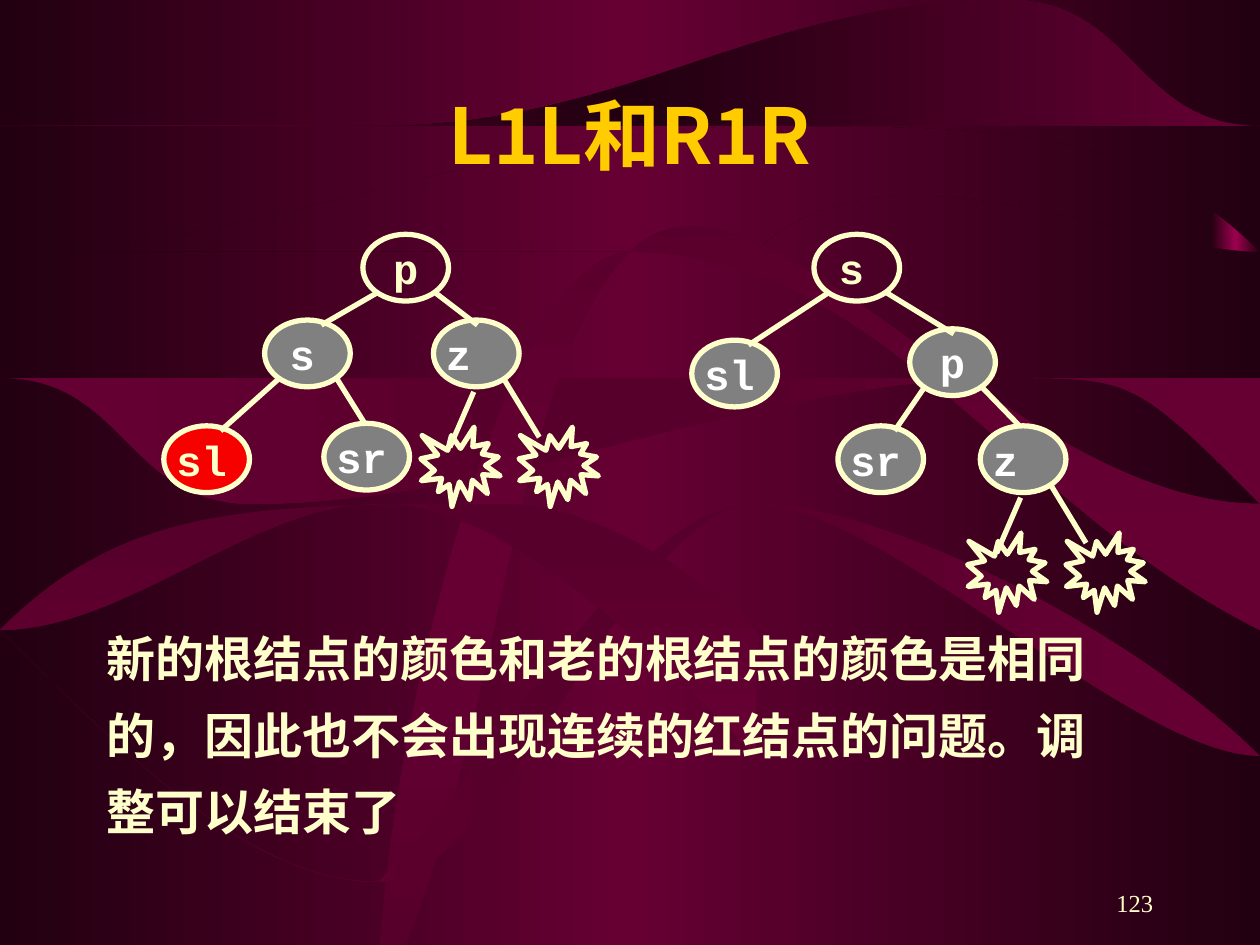
"""Build the red-black tree slide on the L1L and R1R rotations."""
from lxml import etree
from pptx import Presentation
from pptx.dml.color import RGBColor
from pptx.enum.shapes import MSO_CONNECTOR, MSO_SHAPE
from pptx.enum.text import MSO_ANCHOR, PP_ALIGN
from pptx.oxml.ns import qn
from pptx.util import Inches, Pt

OVAL, SEAL, RECT = MSO_SHAPE.OVAL, MSO_SHAPE.EXPLOSION1, MSO_SHAPE.RECTANGLE
STRAIGHT = MSO_CONNECTOR.STRAIGHT
LEFT, CENTER, RIGHT, JUSTIFY = PP_ALIGN.LEFT, PP_ALIGN.CENTER, PP_ALIGN.RIGHT, PP_ALIGN.JUSTIFY
MIDDLE, BOTTOM = MSO_ANCHOR.MIDDLE, MSO_ANCHOR.BOTTOM
COLORS = {"dark": "220011", "wine": "660033", "plum": "56002B", "glow": "9C004E",
          "cream": "FFFFCC", "gold": "FFCC00", "white": "FFFFFF",
          "gray": "808080", "red": "F60000"}
NODE_W, NODE_H, SEAL_SIZE = 0.68, 0.53, 0.63

RIBBONS = [
    ("dark", "wine", [[(0, 0), (10, 0)], [(10, 1.52), (6.25, 1.32), (0, 2.11)]]),
    ("dark", "wine", [[(0, 2.28), (5.86, 1.55), (10, 1.89)], [(10, 7.5), (0, 7.5)]]),
    ("wine", "dark", [[(0, 1.02), (3.08, 1.09), (7.94, 0.62), (10, 1.25)],
                      [(10, 0.6), (7.92, 0.37), (3.45, 0.9), (0, 0.6)]]),
    ("wine", "plum", [[(0, 3.34), (2.22, 3.75), (7.8, 2.83), (10, 3.68)],
                      [(10, 3.03), (7.01, 2.69), (1.9, 3.38), (0, 3.06)]]),
    ("plum", "wine", [[(2.71, 7.5), (4.54, 2.18), (10, 4.42)],
                      [(10, 5.19), (4.79, 2.43), (3.31, 7.5)]]),
    ("wine", "plum", [[(0, 5.49), (2.69, 6.92), (5.65, 4.38), (10, 6.43)],
                      [(10, 5.76), (5.62, 3.91), (2.73, 6.67), (0, 5.16)]]),
    ("plum", "wine", [[(0, 4.77), (3.14, 4.28), (6.37, 5.72)], [(5.83, 7.5)],
                      [(6.42, 5.32), (3.66, 4.01), (0, 4.61)]]),
]

OLD_TREE = {
    "places": {"p": (1.58, 0), "sr": (1.27, 1.5), "sl": (0, 1.52), "s": (0.8, 0.68), "z": (2.14, 0.68)},
    "fills": {"p": None, "sl": "red"},
    "edges": ["s sr", "p s", "s sl", "p z"]}
NEW_TREE = {
    "places": {"p": (1.73, 0.75), "sr": (1.16, 1.52), "sl": (0, 0.84), "s": (0.97, 0), "z": (2.29, 1.52)},
    "fills": {"s": None},
    "edges": ["p z", "p sr", "s sl", "s p"]}


def rgb(name):
    """Return a palette colour."""
    return RGBColor.from_string(COLORS[name])


def fill_gradient(fill, element, edge, middle):
    """Fill with a gradient from edge to middle and back, upright when it starts in plum."""
    fill.gradient()
    fill.gradient_angle = 90 if edge == "plum" else 0
    stops = next(element.iter(qn("a:gsLst")))
    for stop in list(stops):
        stops.remove(stop)
    for percent, name in ((0, edge), (50, middle), (100, edge)):
        stop = etree.SubElement(stops, qn("a:gs"), pos=str(percent * 1000))
        etree.SubElement(stop, qn("a:srgbClr"), val=COLORS[name])


def smooth(knots):
    """Return the Bezier triples of a smooth curve through the knots."""
    slopes = []
    for i in range(len(knots)):
        before, after = knots[max(i - 1, 0)], knots[min(i + 1, len(knots) - 1)]
        slopes.append((after[1] - before[1]) / (after[0] - before[0]))
    triples = []
    for (x, y), (end_x, end_y), out, into in zip(knots, knots[1:], slopes, slopes[1:]):
        reach = (end_x - x) / 3
        triples.append([(x + reach, y + out * reach),
                        (end_x - reach, end_y - into * reach), (end_x, end_y)])
    return triples


def add_ribbon(slide, edge, middle, runs):
    """Draw a closed ribbon of smooth runs joined by straight lines."""
    segments = []
    for knots in runs:
        segments.append([knots[0]])
        if len(knots) > 1:
            segments += smooth(knots)
    start = segments.pop(0)[0]
    builder = slide.shapes.build_freeform(*start, scale=Inches(1))
    builder.add_line_segments([point for seg in segments for point in seg], close=True)
    ribbon = builder.convert_to_shape()
    steps = iter(list(ribbon.element.iter(qn("a:lnTo"))))
    for seg in segments:
        first, *others = [next(steps) for _ in seg]
        if others:
            first.tag = qn("a:cubicBezTo")
        for step in others:
            first.append(step[0])
            step.getparent().remove(step)
    ribbon.shadow.inherit = False
    ribbon.line.fill.background()
    fill_gradient(ribbon.fill, ribbon.element, edge, middle)


def add_backdrop(slide):
    """Paint the background, the glowing strip and the ribbons."""
    fill_gradient(slide.background.fill, slide.element, "dark", "wine")
    strip = slide.shapes.add_shape(RECT, Inches(9.61), Inches(0.49), Inches(0.39), Inches(3.45))
    strip.shadow.inherit = False
    strip.line.fill.background()
    fill_gradient(strip.fill, strip.element, "dark", "glow")
    for ribbon in RIBBONS:
        add_ribbon(slide, *ribbon)


def write(frame, text, size, font, color, align, bold=True, anchor=MIDDLE):
    """Write one formatted paragraph and return it."""
    frame.word_wrap = True
    frame.vertical_anchor = anchor
    paragraph = frame.paragraphs[0]
    paragraph.text = text
    paragraph.alignment = align
    paragraph.font.size = Pt(size)
    paragraph.font.name = font
    paragraph.font.bold = bold
    paragraph.font.color.rgb = rgb(color)
    return paragraph


def add_outline(slide, kind, left, top, width, height, fill=None):
    """Add a cream-outlined shape."""
    shape = slide.shapes.add_shape(kind, Inches(left), Inches(top), Inches(width), Inches(height))
    shape.shadow.inherit = False
    shape.line.color.rgb = rgb("cream")
    shape.line.width = Pt(3)
    if fill:
        shape.fill.solid()
        shape.fill.fore_color.rgb = rgb(fill)
    else:
        shape.fill.background()
    return shape


def add_edge(slide, left, top, x1, y1, x2, y2):
    """Join two points given relative to left and top."""
    edge = slide.shapes.add_connector(STRAIGHT, Inches(left + x1), Inches(top + y1),
                                      Inches(left + x2), Inches(top + y2))
    edge.line.color.rgb = rgb("cream")
    edge.line.width = Pt(3)
    etree.SubElement(edge.element.spPr, qn("a:effectLst"))


def add_branch(slide, left, top, places, pair):
    """Join a parent to its child, leaving on the side where the child lies."""
    (x, y), (child_x, child_y) = (places[label] for label in pair.split())
    start, end = (0.12, 0.38) if child_x < x else (0.57, 0.35)
    add_edge(slide, left, top, x + start, y + 0.46, child_x + end + (0.07 if child_x < x else 0),
             child_y + 0.04)


def add_leaves(slide, left, top):
    """Draw the two external leaves under z with their edges."""
    for x in (0.78, 0):
        add_outline(slide, SEAL, left + x, top + 0.38, SEAL_SIZE, SEAL_SIZE)
    add_edge(slide, left, top, 0.42, 0.1, 0.23, 0.54)
    add_edge(slide, left, top, 0.66, 0, 0.94, 0.46)


def add_tree(slide, left, top, tree):
    """Draw a tree with its top-left corner at left and top, the first edge behind the nodes."""
    places, (hidden, *shown) = tree["places"], tree["edges"]
    add_branch(slide, left, top, places, hidden)
    for label, (x, y) in places.items():
        fill = tree["fills"].get(label, "gray")
        node = add_outline(slide, OVAL, left + x, top + y, NODE_W, NODE_H, fill)
        frame = node.text_frame
        frame.margin_left = frame.margin_right = Inches(0.1 if label == "s" else 0)
        frame.margin_top = frame.margin_bottom = Inches(0.05 if label == "s" else 0)
        write(frame, label, 24, "Courier New", "white" if fill == "gray" else "cream",
              CENTER if label == "p" else JUSTIFY)
    for pair in shown:
        add_branch(slide, left, top, places, pair)
    add_leaves(slide, left + places["z"][0] - 0.1, top + places["z"][1] + 0.47)


def add_texts(slide):
    """Place the title, the conclusion and the page number."""
    title = slide.shapes.title
    title.left, title.top, title.width, title.height = map(Inches, (0.75, 0.44, 8.5, 1.25))
    write(title.text_frame, "L1L和R1R", 44, "Noto Sans CJK SC", "gold", CENTER)
    title.element.getparent().append(title.element)
    conclusion = slide.shapes.add_textbox(*map(Inches, (0.75, 4.8, 8.27, 1.92)))
    write(conclusion.text_frame,
          "新的根结点的颜色和老的根结点的颜色是相同的，因此也不会出现连续的红结点的问题。调整可以结束了",
          28, "Times New Roman", "cream", LEFT).line_spacing = 1.3
    page = slide.shapes.add_textbox(*map(Inches, (7.17, 6.83, 2.08, 0.5)))
    write(page.text_frame, "123", 14, "Times New Roman", "cream", RIGHT, False, BOTTOM)


def main():
    """Build and save the slide."""
    deck = Presentation()
    deck.slide_width, deck.slide_height = Inches(10), Inches(7.5)
    slide = deck.slides.add_slide(deck.slide_layouts[5])
    add_backdrop(slide)
    add_tree(slide, 1.3, 1.86, OLD_TREE)
    add_tree(slide, 5.49, 1.86, NEW_TREE)
    add_texts(slide)
    deck.save("out.pptx")


if __name__ == "__main__":
    main()
